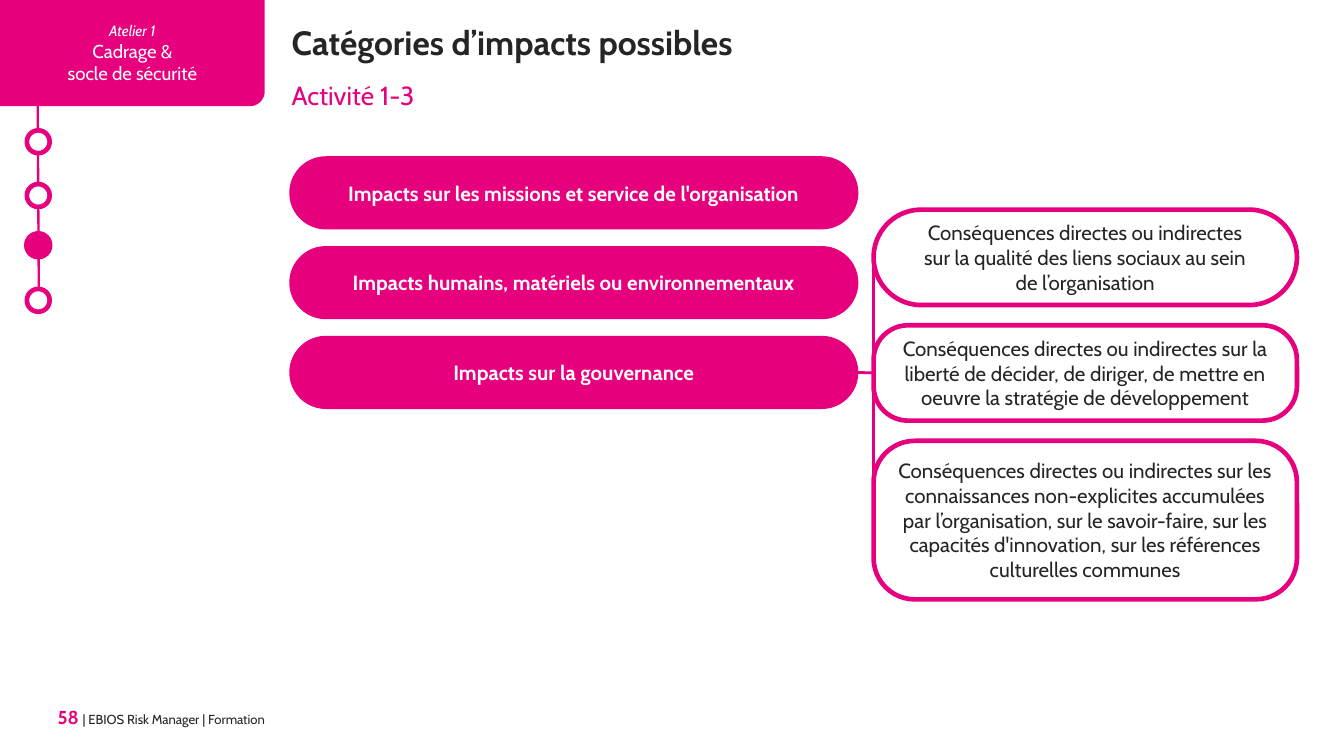
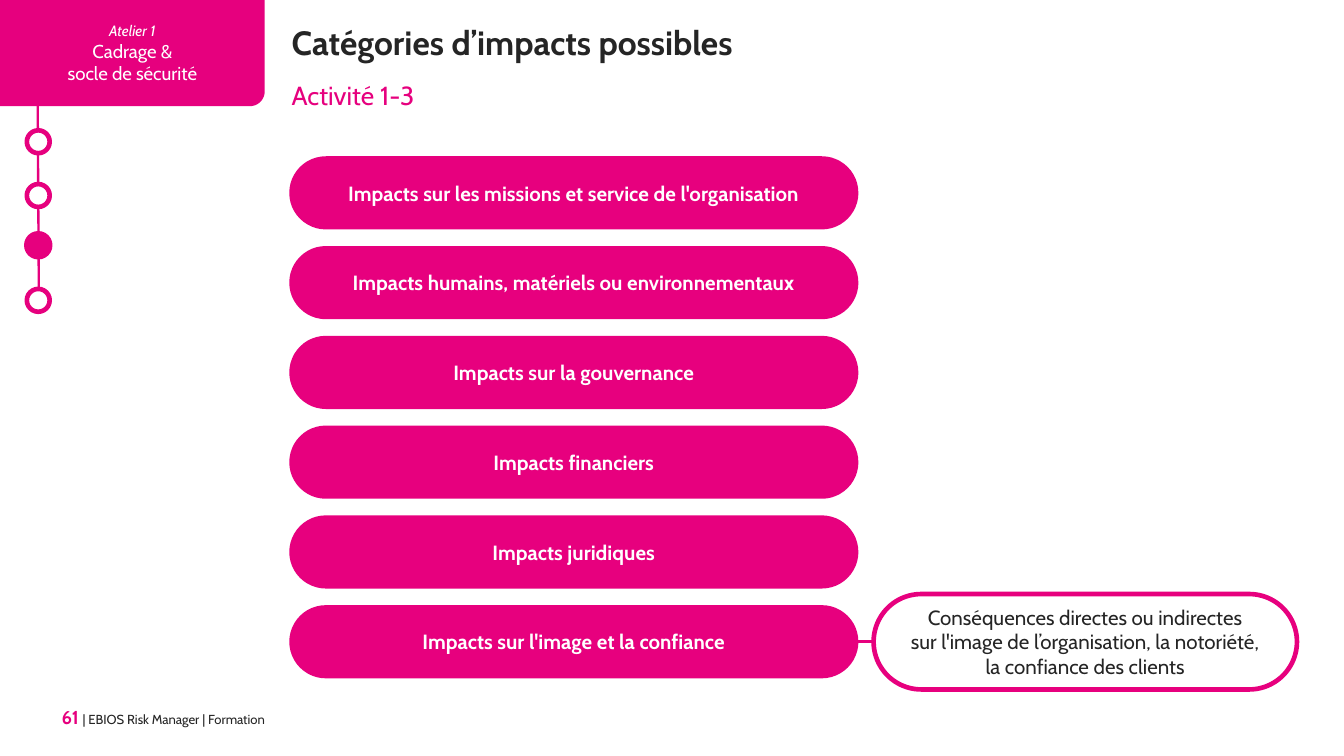
import math
import pptx
import pptx.dml.color
import pptx.enum.shapes
import pptx.enum.text
import pptx.oxml.ns
import pptx.util
from lxml import etree

Inches = pptx.util.Inches
Pt = pptx.util.Pt
RGBColor = pptx.dml.color.RGBColor
SHAPES = pptx.enum.shapes.MSO_SHAPE
ALIGN = pptx.enum.text.PP_ALIGN
ANCHOR = pptx.enum.text.MSO_ANCHOR

FONT = "Cabin"
PINK = RGBColor(0xE6, 0x00, 0x7E)
IMPACT_PINK = RGBColor(0xE7, 0x00, 0x7E)
DARK = RGBColor(0x25, 0x25, 0x25)
GREY = RGBColor(0x32, 0x32, 0x32)
WHITE = RGBColor(0xFF, 0xFF, 0xFF)

TITLE = "Catégories d’impacts possibles"
SUBTITLE = "Activité 1-3"
WORKSHOP = "Atelier 1\nCadrage &\nsocle de sécurité"
FOOTER = "| EBIOS Risk Manager | Formation"
IMPACTS = [
    "Impacts sur les missions et service de l'organisation",
    "Impacts humains, matériels ou environnementaux",
    "Impacts sur la gouvernance",
    "Impacts financiers",
    "Impacts juridiques",
    "Impacts sur l'image et la confiance",
]
SLIDES = [
    {
        "number": "58",
        "impact_count": 3,
        "main_consequence": 1,
        "consequences": [
            (1.56, 0.71, 0.5, "Conséquences directes ou indirectes\v"
             "sur la qualité des liens sociaux au sein\nde l’organisation"),
            (2.42, 0.71, 0.36, "Conséquences directes ou indirectes sur la liberté de décider, "
             "de diriger, de mettre en oeuvre la stratégie de développement"),
            (3.28, 1.18, 0.26, "Conséquences directes ou indirectes sur les connaissances "
             "non-explicites accumulées par l’organisation, sur le savoir-faire, "
             "sur les capacités d'innovation, sur les références culturelles communes"),
        ],
    },
    {
        "number": "61",
        "impact_count": 6,
        "main_consequence": 0,
        "consequences": [
            (4.42, 0.71, 0.5, "Conséquences directes ou indirectes\v"
             "sur l'image de l’organisation, la notoriété,\vla confiance des clients"),
        ],
    },
]

SLIDE_WIDTH = 10
SLIDE_HEIGHT = SLIDE_WIDTH * 9 / 16
STEP_TOPS = [0.97, 1.37, 1.74, 2.15]
CURRENT_STEP = 2
STEP_LEFT, STEP_SIZE = 0.2, 0.17
BAND_WIDTH, BAND_HEIGHT, BAND_RADIUS = 1.97, 0.79, 0.11
CONTENT_LEFT = 2.17
IMPACT_WIDTH, IMPACT_HEIGHT = 4.2, 0.51
IMPACT_TOP, IMPACT_LAST_TOP = 1.18, 4.52
IMPACT_PITCH = (IMPACT_LAST_TOP - IMPACT_TOP) / (len(IMPACTS) - 1)
CONSEQUENCE_LEFT, CONSEQUENCE_WIDTH = 6.5, 3.15


def format_run(run, size, color, bold=False, italic=False):
    run.font.name = FONT
    run.font.size = Pt(size)
    run.font.color.rgb = color
    run.font.bold = bold
    run.font.italic = italic


def write_text(shape, text, size, color, bold=False, align=ALIGN.CENTER, margins=None):
    frame = shape.text_frame
    frame.word_wrap = True
    frame.text = text
    if margins is not None:
        frame.margin_left = frame.margin_right = Inches(margins)
        frame.margin_top = frame.margin_bottom = 0
    for paragraph in frame.paragraphs:
        paragraph.alignment = align
        for run in paragraph.runs:
            format_run(run, size, color, bold)


def style_shape(shape, fill, line=None, width=2.5):
    shape.shadow.inherit = False
    shape.fill.solid()
    shape.fill.fore_color.rgb = fill
    if line is None:
        shape.line.fill.background()
    else:
        shape.line.color.rgb = line
        shape.line.width = Pt(width)
    shape.text_frame.vertical_anchor = ANCHOR.MIDDLE


def add_shape(slide, kind, left, top, width, height, fill, line, line_width=2.5):
    shape = slide.shapes.add_shape(kind, Inches(left), Inches(top), Inches(width), Inches(height))
    style_shape(shape, fill, line, line_width)
    return shape


def add_text(slide, left, top, width, height, text, size, color, bold=False, align=ALIGN.LEFT):
    box = slide.shapes.add_textbox(Inches(left), Inches(top), Inches(width), Inches(height))
    write_text(box, text, size, color, bold, align, margins=0)
    return box


def add_line(slide, color, width, start=(0, 0), end=(0, 0)):
    line = slide.shapes.add_connector(
        pptx.enum.shapes.MSO_CONNECTOR.STRAIGHT, *map(Inches, start + end))
    line.line.color.rgb = color
    line.line.width = Pt(width)
    etree.SubElement(line._element.spPr, pptx.oxml.ns.qn("a:effectLst"))
    return line


def join_shapes(slide, first, first_site, second, second_site):
    line = add_line(slide, IMPACT_PINK, 1.5)
    line.begin_connect(first, first_site)
    line.end_connect(second, second_site)


def add_steps(slide):
    add_line(slide, PINK, 1.25, (0.28, 0.67), (0.29, 2.33))
    for index, top in enumerate(STEP_TOPS):
        current = index == CURRENT_STEP
        add_shape(slide, SHAPES.OVAL, STEP_LEFT, top, STEP_SIZE, STEP_SIZE,
                  PINK if current else WHITE, PINK, 3 if current else 2.5)


def add_band(slide):
    center_x, center_y = BAND_WIDTH - BAND_RADIUS, BAND_HEIGHT - BAND_RADIUS
    angles = [math.radians(degrees) for degrees in range(0, 91, 10)]
    corner = [(center_x + BAND_RADIUS * math.cos(angle), center_y + BAND_RADIUS * math.sin(angle))
              for angle in angles]
    points = [(BAND_WIDTH, 0)] + corner + [(0, BAND_HEIGHT)]
    builder = slide.shapes.build_freeform(0, 0)
    builder.add_line_segments([(Inches(x), Inches(y)) for x, y in points], close=True)
    band = builder.convert_to_shape()
    style_shape(band, PINK)
    write_text(band, WORKSHOP, 10, WHITE)
    format_run(band.text_frame.paragraphs[0].runs[0], 8, WHITE, italic=True)


def add_footer(slide, number):
    footer = add_text(slide, 0.2, 5.25, 1.77, 0.2, number, 10, PINK, True, ALIGN.RIGHT)
    paragraph = footer.text_frame.paragraphs[0]
    for text, size, color in [(" ", 9, GREY), (FOOTER, 7, DARK)]:
        run = paragraph.add_run()
        run.text = text
        format_run(run, size, color)


def add_impact(slide, index):
    pill = add_shape(slide, SHAPES.ROUNDED_RECTANGLE, CONTENT_LEFT,
                     IMPACT_TOP + index * IMPACT_PITCH, IMPACT_WIDTH, IMPACT_HEIGHT,
                     IMPACT_PINK, IMPACT_PINK)
    pill.adjustments[0] = 0.5
    write_text(pill, IMPACTS[index], 11, WHITE, True)
    return pill


def add_consequence(slide, top, height, rounding, text):
    box = add_shape(slide, SHAPES.ROUNDED_RECTANGLE, CONSEQUENCE_LEFT, top,
                    CONSEQUENCE_WIDTH, height, WHITE, IMPACT_PINK)
    box.adjustments[0] = rounding
    write_text(box, text, 11, DARK, margins=0.04)
    return box


def build_slide(presentation, content):
    slide = presentation.slides.add_slide(presentation.slide_layouts[6])
    add_steps(slide)
    add_band(slide)
    add_footer(slide, content["number"])
    pills = [add_impact(slide, index) for index in range(content["impact_count"])]
    add_text(slide, CONTENT_LEFT, 0.16, 7.48, 0.3, TITLE, 18, DARK, True)
    add_text(slide, CONTENT_LEFT, 0.59, 7.04, 0.24, SUBTITLE, 14, PINK)
    boxes = [add_consequence(slide, *item) for item in content["consequences"]]
    main_box = boxes[content["main_consequence"]]
    for box in boxes:
        if box is not main_box:
            join_shapes(slide, box, 1, main_box, 1)
    join_shapes(slide, main_box, 1, pills[-1], 3)


def main():
    presentation = pptx.Presentation()
    presentation.slide_width = Inches(SLIDE_WIDTH)
    presentation.slide_height = Inches(SLIDE_HEIGHT)
    for content in SLIDES:
        build_slide(presentation, content)
    presentation.save("out.pptx")


if __name__ == "__main__":
    main()
